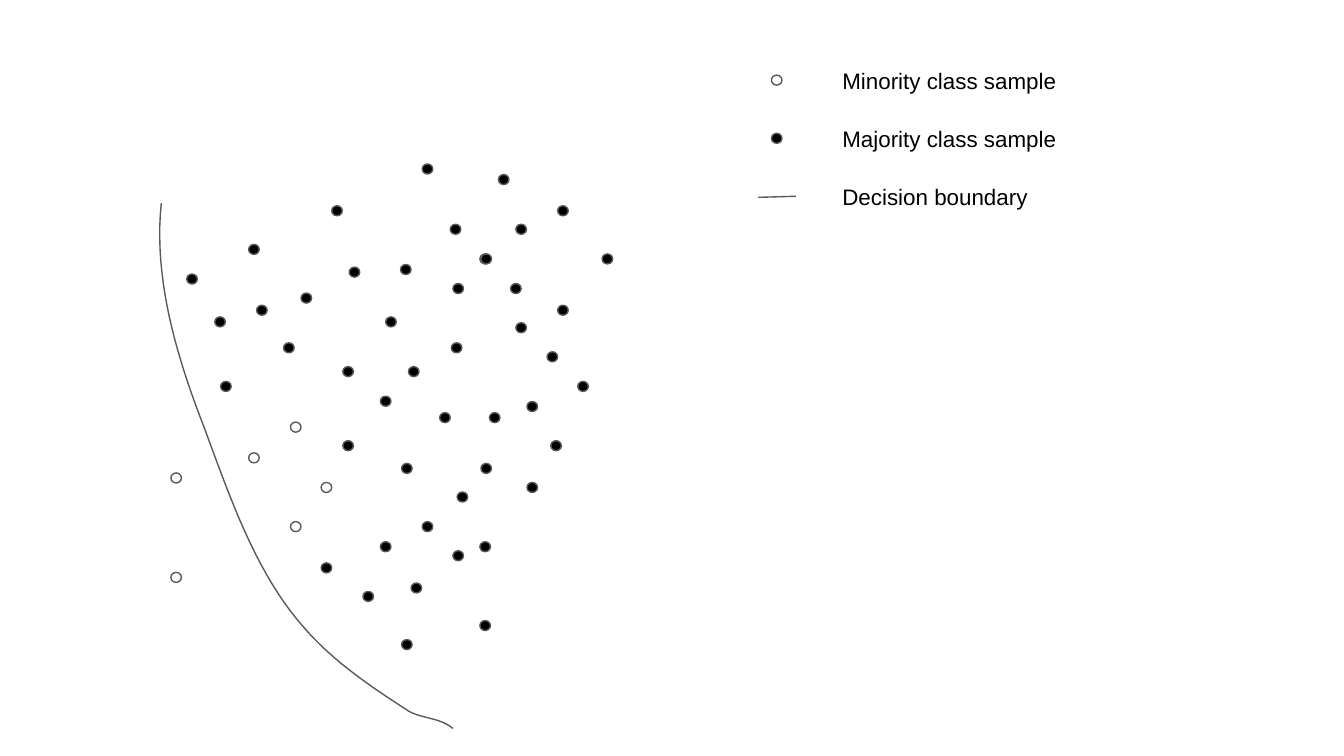
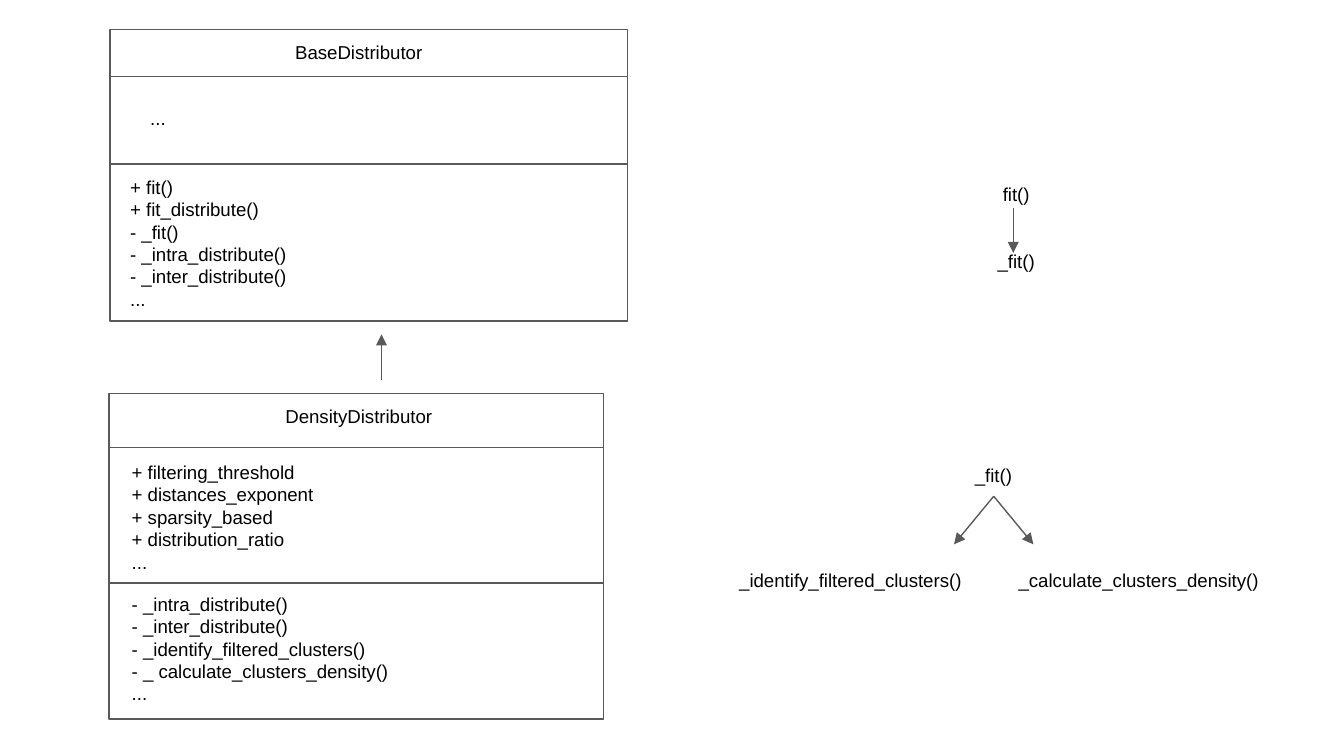
from dataclasses import dataclass
from pptx import Presentation
from pptx.dml.color import RGBColor
from pptx.enum.shapes import MSO_CONNECTOR, MSO_SHAPE
from pptx.enum.text import PP_ALIGN
from pptx.oxml.ns import qn
from pptx.util import Cm, Pt
from lxml.etree import SubElement


@dataclass(frozen=True)
class Theme:
    font: str = "Arial"
    ink: RGBColor = RGBColor(0, 0, 0)
    paper: RGBColor = RGBColor(255, 255, 255)
    edge: RGBColor = RGBColor(0x59, 0x59, 0x59)
    label: float = 12
    code: float = 10
    line: float = 0.75


THEME = Theme()
PAD = Cm(0.25)
PLAIN = "{2D5ABB26-0587-4C30-8999-92F81FD0307C}"  # table style without grid

# Left and top of each sample, in cm
MAJOR = [
    (7.98, 3.1), (8.51, 4.24), (10.54, 3.89), (9.07, 4.8), (11.38, 4.8),
    (6.27, 3.89), (3.53, 5.18), (8.53, 6.48), (4.06, 5.99), (9.75, 6.1),
    (7.59, 8.76), (9.07, 10.24), (9.96, 7.59), (7.72, 6.93), (6.48, 8.33),
    (9.75, 4.24), (4.85, 5.77), (9.25, 7.8), (8.31, 7.8), (6.6, 5.05),
    (10.34, 6.65), (8.64, 9.3), (7.98, 9.86), (9.96, 9.12), (6.07, 10.64),
    (7.19, 7.49), (9.42, 3.3), (9.09, 4.8), (7.29, 5.99), (9.65, 5.36),
    (7.57, 5.0), (5.69, 5.54), (9.09, 8.76), (5.36, 6.48), (4.7, 4.62),
    (10.54, 5.77), (8.56, 5.36), (10.41, 8.33), (9.07, 11.73), (6.48, 6.93),
    (10.92, 7.21), (8.56, 10.41), (6.86, 11.18), (7.59, 12.09),
    (7.77, 11.02), (4.17, 7.21), (7.19, 10.24),
]
MINOR = [(4.7, 8.56), (5.49, 9.86), (5.49, 7.98), (6.07, 9.12),
         (3.23, 10.82), (3.23, 8.94)]

# Decision boundary: start, then two controls and an end per curve
START = (3.05, 3.84)
CURVES = [
    ((2.9, 5.26), (3.33, 6.71), (3.84, 8.03)),
    ((4.34, 9.37), (4.83, 10.85), (5.77, 11.89)),
    ((6.32, 12.52), (7.04, 13.0), (7.72, 13.44)),
    ((7.98, 13.59), (8.31, 13.56), (8.56, 13.77)),
]


def stroke(line):
    line.color.rgb = THEME.edge
    line.width = Pt(THEME.line)


def style(shape, fill=None):
    shape.shadow.inherit = False
    if fill is None:
        shape.fill.background()
    else:
        shape.fill.solid()
        shape.fill.fore_color.rgb = fill
    stroke(shape.line)


def fill_text(frame, lines, size, align=PP_ALIGN.LEFT, gap=0):
    for i, words in enumerate(lines):
        para = frame.paragraphs[0] if i == 0 else frame.add_paragraph()
        para.alignment = align
        para.space_before = Pt(gap if i else 0)
        run = para.add_run()
        run.text = words
        run.font.name = THEME.font
        run.font.size = Pt(size)
        run.font.color.rgb = THEME.ink


def text(slide, lines, x, y, w, h, size=THEME.code, **form):
    frame = slide.shapes.add_textbox(Cm(x), Cm(y), Cm(w), Cm(h)).text_frame
    frame.word_wrap = True
    frame.margin_left = frame.margin_right = PAD
    frame.margin_top = frame.margin_bottom = PAD
    fill_text(frame, lines, size, **form)


def line(slide, x1, y1, x2, y2, arrow=False):
    link = slide.shapes.add_connector(
        MSO_CONNECTOR.STRAIGHT, Cm(x1), Cm(y1), Cm(x2), Cm(y2))
    stroke(link.line)
    props = link._element.spPr
    if arrow:
        SubElement(props.find(qn("a:ln")), qn("a:tailEnd"), type="triangle")
    SubElement(props, qn("a:effectLst"))


def dot(slide, x, y, fill):
    style(slide.shapes.add_shape(
        MSO_SHAPE.OVAL, Cm(x), Cm(y), Cm(0.2), Cm(0.19)), fill)


def curve(slide, start, parts, steps=20):
    points, last = [], start
    for one, two, end in parts:
        for i in range(1, steps + 1):
            t = i / steps
            u = 1 - t
            points.append(tuple(
                Cm(u**3 * a + 3 * u * u * t * b + 3 * u * t * t * c + t**3 * d)
                for a, b, c, d in zip(last, one, two, end)))
        last = end
    path = slide.shapes.build_freeform(Cm(start[0]), Cm(start[1]))
    path.add_line_segments(points, close=False)
    style(path.convert_to_shape())


def card(slide, name, x, y, w, h, rules, blocks):
    """Class box: a name, dividing rules and lists of members."""
    style(slide.shapes.add_shape(
        MSO_SHAPE.RECTANGLE, Cm(x), Cm(y), Cm(w), Cm(h)))
    for rule in rules:
        line(slide, x, rule, x + w, rule)
    text(slide, [name], 3.43, y, 6.7, 1, align=PP_ALIGN.CENTER)
    for left, top, high, lines in blocks:
        text(slide, lines, left, top, 9.07, high)


def grid(slide, words, x, y, wide, high):
    frame = slide.shapes.add_table(
        1, len(words), Cm(x), Cm(y), Cm(wide * len(words)), Cm(high))
    table = frame.table
    table.first_row = table.horz_banding = False
    table._tbl.tblPr.find(qn("a:tableStyleId")).text = PLAIN
    table.rows[0].height = Cm(high)
    for i, word in enumerate(words):
        table.columns[i].width = Cm(wide)
        cell = table.cell(0, i)
        cell.fill.background()
        cell.margin_left = cell.margin_right = PAD
        cell.margin_top = cell.margin_bottom = PAD
        fill_text(cell.text_frame, [word], THEME.code)


def samples(slide):
    # Scatter and boundary
    for spots, fill in ((MAJOR, THEME.ink), (MINOR, THEME.paper)):
        for x, y in spots:
            dot(slide, x, y, fill)
    curve(slide, START, CURVES)

    # Legend
    dot(slide, 14.58, 1.42, THEME.paper)
    dot(slide, 14.58, 2.52, THEME.ink)
    line(slide, 14.33, 3.73, 15.04, 3.71)
    names = ("Minority class sample", "Majority class sample",
             "Decision boundary")
    for i, name in enumerate(names):
        text(slide, [name], 15.67, 1.02 + 1.1 * i, 4.8, 1, size=THEME.label)


def classes(slide):
    # Class boxes and inheritance
    card(slide, "BaseDistributor", 2.08, 0.56, 9.78, 5.51, (1.45, 3.1), [
        (2.59, 1.8, 0.94, ["..."]),
        (2.21, 3.07, 3.18, [
            "+ fit()", "+ fit_distribute()", "- _fit()",
            "- _intra_distribute()", "- _inter_distribute()", "..."]),
    ])
    card(slide, "DensityDistributor", 2.06, 7.44, 9.35, 6.15, (8.46, 11.02), [
        (2.24, 8.46, 2.03, [
            "+ filtering_threshold", "+ distances_exponent",
            "+ sparsity_based", "+ distribution_ratio", "..."]),
        (2.24, 10.95, 2.26, [
            "- _intra_distribute()", "- _inter_distribute()",
            "- _identify_filtered_clusters()",
            "- _ calculate_clusters_density()", "..."]),
    ])
    line(slide, 7.21, 7.19, 7.21, 6.32, arrow=True)

    # Call order
    text(slide, ["fit()", "_fit()"], 14.66, 3.2, 9.09, 2.29,
         align=PP_ALIGN.CENTER, gap=24)
    line(slide, 19.15, 3.94, 19.15, 4.78, arrow=True)
    text(slide, ["_fit()"], 12.78, 8.56, 11.99, 3.66, align=PP_ALIGN.CENTER)
    for x in (18.03, 19.53):
        line(slide, 18.78, 9.38, x, 10.29, arrow=True)
    grid(slide, ["_identify_filtered_clusters()",
                 "_calculate_clusters_density()"], 13.72, 10.54, 5.28, 0.5)


def main():
    deck = Presentation()
    deck.slide_width, deck.slide_height = Cm(25.4), Cm(14.29)
    for draw in (samples, classes):
        draw(deck.slides.add_slide(deck.slide_layouts[6]))
    deck.save("out.pptx")


if __name__ == "__main__":
    main()
